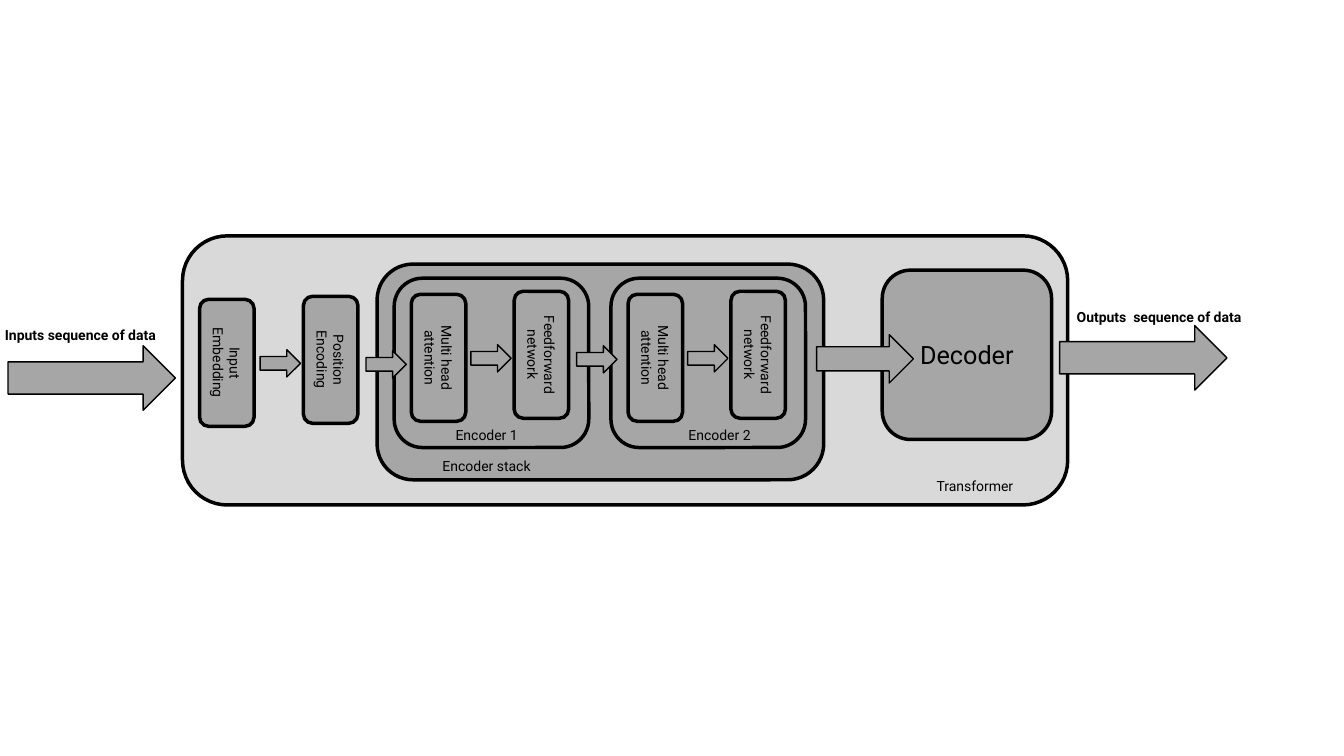
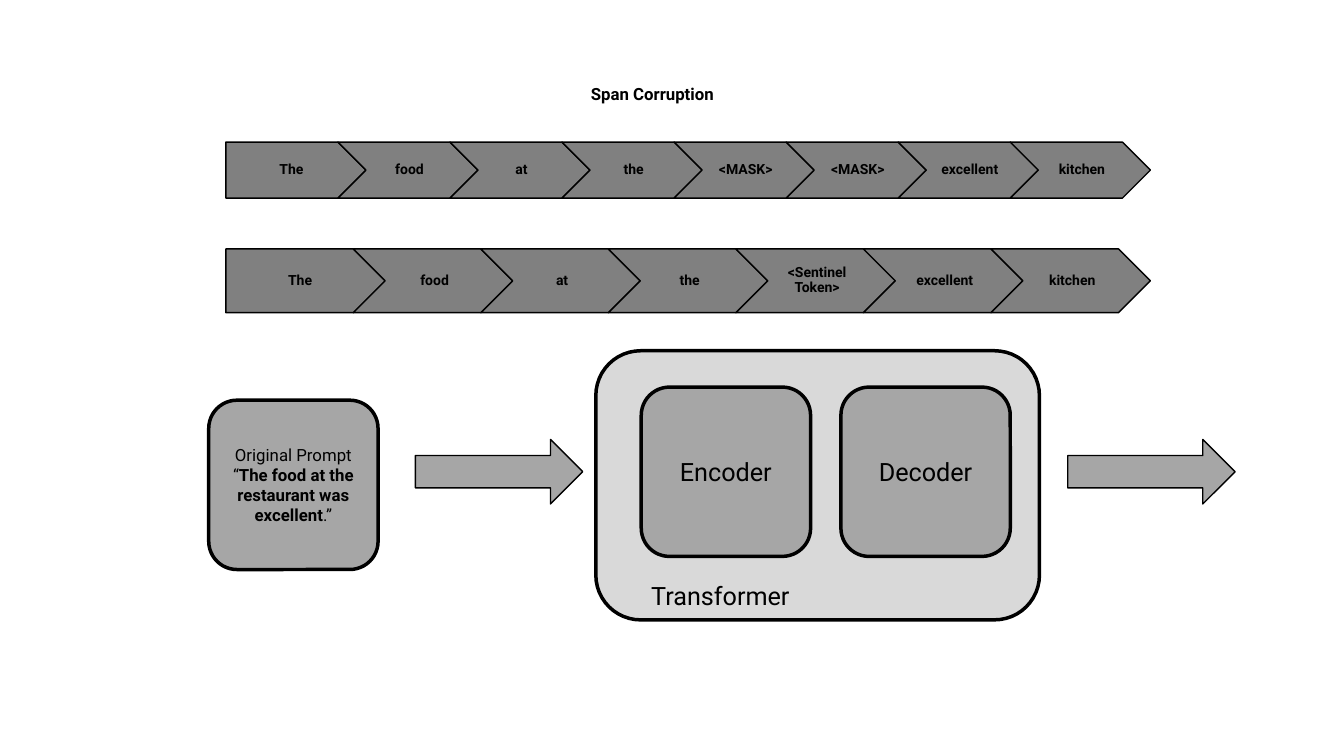
from pptx import Presentation
from pptx.dml.color import RGBColor
from pptx.enum.shapes import MSO_SHAPE
from pptx.enum.text import MSO_ANCHOR, MSO_AUTO_SIZE, PP_ALIGN
from pptx.util import Emu, Pt

EMU_PER_PX = 9144
FONT = "Roboto"
BLACK = RGBColor(0x00, 0x00, 0x00)
LIGHT_GREY = RGBColor(0xD9, 0xD9, 0xD9)
MID_GREY = RGBColor(0xA6, 0xA6, 0xA6)
DARK_GREY = RGBColor(0x80, 0x80, 0x80)

ROUNDED = MSO_SHAPE.ROUNDED_RECTANGLE
ARROW = MSO_SHAPE.RIGHT_ARROW
PENTAGON = MSO_SHAPE.PENTAGON
CHEVRON = MSO_SHAPE.CHEVRON
TOP = MSO_ANCHOR.TOP
MIDDLE = MSO_ANCHOR.MIDDLE
LEFT = PP_ALIGN.LEFT
CENTER = PP_ALIGN.CENTER
NO_AUTOFIT = MSO_AUTO_SIZE.NONE

BLOCK_SIZE = (168, 168)
MODULE_SIZE = (54, 126)
ENCODER_SIZE = (193, 168)
SMALL_ARROW = (40, 27)
MEDIUM_ARROW = (96, 48)
LARGE_ARROW = (166, 64)


def px(*lengths):
    """Turn px lengths into EMU."""
    return [Emu(round(length * EMU_PER_PX)) for length in lengths]


def style_text(shape, size, bold=None, alignment=CENTER, anchor=MIDDLE):
    """Format the text of a shape and return its paragraph."""
    frame = shape.text_frame
    frame.word_wrap = True
    frame.vertical_anchor = anchor
    paragraph = frame.paragraphs[0]
    paragraph.alignment = alignment
    paragraph.font.name = FONT
    paragraph.font.size = Pt(size)
    paragraph.font.bold = bold
    paragraph.font.color.rgb = BLACK
    return paragraph


def add_outlined(shapes, kind, box, fill, weight):
    """Add a filled preset shape with a black outline."""
    shape = shapes.add_shape(kind, *px(*box))
    shape.shadow.inherit = False
    shape.fill.solid()
    shape.fill.fore_color.rgb = fill
    shape.line.color.rgb = BLACK
    shape.line.width = Pt(weight)
    return shape


def add_panel(slide, box, fill=MID_GREY):
    """Add a rounded panel with a heavy outline."""
    return add_outlined(slide.shapes, ROUNDED, box, fill, 2.5)


def add_block(slide, left, top, text):
    """Add a square block with a large caption."""
    block = add_panel(slide, (left, top, *BLOCK_SIZE))
    block.text_frame.text = text
    style_text(block, 18)


def add_module(slide, left, top, text):
    """Add a tall module whose caption is turned sideways."""
    module = add_panel(slide, (left, top, *MODULE_SIZE))
    module.text_frame.text = text
    style_text(module, 10)
    module.text_frame._txBody.bodyPr.set("vert", "vert")


def add_arrow(slide, left, top, size):
    """Add a block arrow pointing right."""
    add_outlined(slide.shapes, ARROW, (left, top, *size), MID_GREY, 1)


def add_label(slide, left, top, text, size=10, bold=None):
    """Add a text label."""
    label = slide.shapes.add_textbox(*px(left, top, 222, 40 if size > 10 else 27))
    label.text_frame.text = text
    style_text(label, size, bold, LEFT, TOP)


def add_encoder(slide, left, top, name, name_offset):
    """Add one encoder with its two modules."""
    add_panel(slide, (left, top, *ENCODER_SIZE))
    add_module(slide, left + 17, top + 16, "Multi head attention")
    add_module(slide, left + 119, top + 13, "Feedforward network")
    add_arrow(slide, left + 76, top + 66, SMALL_ARROW)
    add_label(slide, left + name_offset, top + 142, name)


def add_encoder_stack(slide, left, top):
    """Add the stack of two joined encoders."""
    add_panel(slide, (left, top, 443, 214))
    add_encoder(slide, left + 17, top + 14, "Encoder 1", 51)
    add_encoder(slide, left + 232, top + 14, "Encoder 2", 67)
    add_arrow(slide, left + 198, top + 81, SMALL_ARROW)
    add_label(slide, left + 55, top + 187, "Encoder stack")


def add_detailed_transformer(slide, left, top):
    """Add the transformer with all its inner stages."""
    add_panel(slide, (left, top, 878, 267), LIGHT_GREY)
    add_module(slide, left + 17, top + 63, "Input Embedding")
    add_module(slide, left + 120, top + 60, "Position Encoding")
    add_encoder_stack(slide, left + 193, top + 28)
    add_block(slide, left + 694, top + 34, "Decoder")
    add_arrow(slide, left + 77, top + 113, SMALL_ARROW)
    add_arrow(slide, left + 182, top + 114, SMALL_ARROW)
    add_arrow(slide, left + 629, top + 98, MEDIUM_ARROW)
    add_label(slide, left + 738, top + 235, "Transformer")


def add_simple_transformer(slide, left, top):
    """Add the transformer as an encoder and a decoder."""
    add_panel(slide, (left, top, 440, 267), LIGHT_GREY)
    add_block(slide, left + 45, top + 36, "Encoder")
    add_block(slide, left + 243, top + 36, "Decoder")
    add_label(slide, left + 45, top + 223, "Transformer", 18)


def add_token_chain(slide, left, top, width, tokens):
    """Add a group of overlapping chevrons, one for each token."""
    step_width = width / (1 + 0.8 * (len(tokens) - 1))
    chain = slide.shapes.add_group_shape()
    for index, token in enumerate(tokens):
        box = (left + 0.8 * step_width * index, top, step_width, 0.4 * step_width)
        step = add_outlined(chain.shapes, CHEVRON if index else PENTAGON, box, DARK_GREY, 1)
        frame = step.text_frame
        frame.text = token
        frame.margin_left, frame.margin_right = px(4 if index else 6, 1)
        frame.margin_top, frame.margin_bottom = px(3, 3)
        style_text(step, 10, True).line_spacing = 0.9


def add_prompt(slide, left, top):
    """Add the block that quotes the prompt."""
    prompt = add_panel(slide, (left, top, *BLOCK_SIZE))
    paragraph = style_text(prompt, 12)
    paragraph.add_run().text = "Original Prompt “"
    quote = paragraph.add_run()
    quote.text = "The food at the restaurant was excellent"
    quote.font.bold = True
    paragraph.add_run().text = ".”"


def set_title(slide, left, top, text):
    """Move and format the title placeholder."""
    title = slide.shapes.title
    title.left, title.top, title.width, title.height = px(left, top, 222, 30)
    title.text_frame.text = text
    title.text_frame.auto_size = NO_AUTOFIT
    style_text(title, 12, True, LEFT, TOP)


def build_architecture_slide(presentation):
    """Build the slide on the transformer's architecture."""
    slide = presentation.slides.add_slide(presentation.slide_layouts[6])
    add_detailed_transformer(slide, 181, 234)
    add_arrow(slide, 8, 343, LARGE_ARROW)
    add_arrow(slide, 1051, 323, LARGE_ARROW)
    add_label(slide, -5, 319, "Inputs sequence of data", bold=True)
    add_label(slide, 1058, 301, "Outputs  sequence of data", bold=True)


def build_corruption_slide(presentation):
    """Build the slide on span corruption."""
    slide = presentation.slides.add_slide(presentation.slide_layouts[5])
    set_title(slide, 576, 78, "Span Corruption")
    opening, ending = ["The", "food", "at", "the"], ["excellent", "kitchen"]
    add_token_chain(slide, 224, 141, 917, opening + ["<MASK>", "<MASK>"] + ending)
    add_token_chain(slide, 224, 247, 917, opening + ["<Sentinel Token>"] + ending)
    add_prompt(slide, 207, 397)
    add_simple_transformer(slide, 591, 348)
    for left in (412, 1059):
        add_arrow(slide, left, 436, LARGE_ARROW)


def main():
    """Build and save the presentation."""
    presentation = Presentation()
    presentation.slide_width, presentation.slide_height = px(1333, 750)
    build_architecture_slide(presentation)
    build_corruption_slide(presentation)
    presentation.save("out.pptx")


if __name__ == "__main__":
    main()
